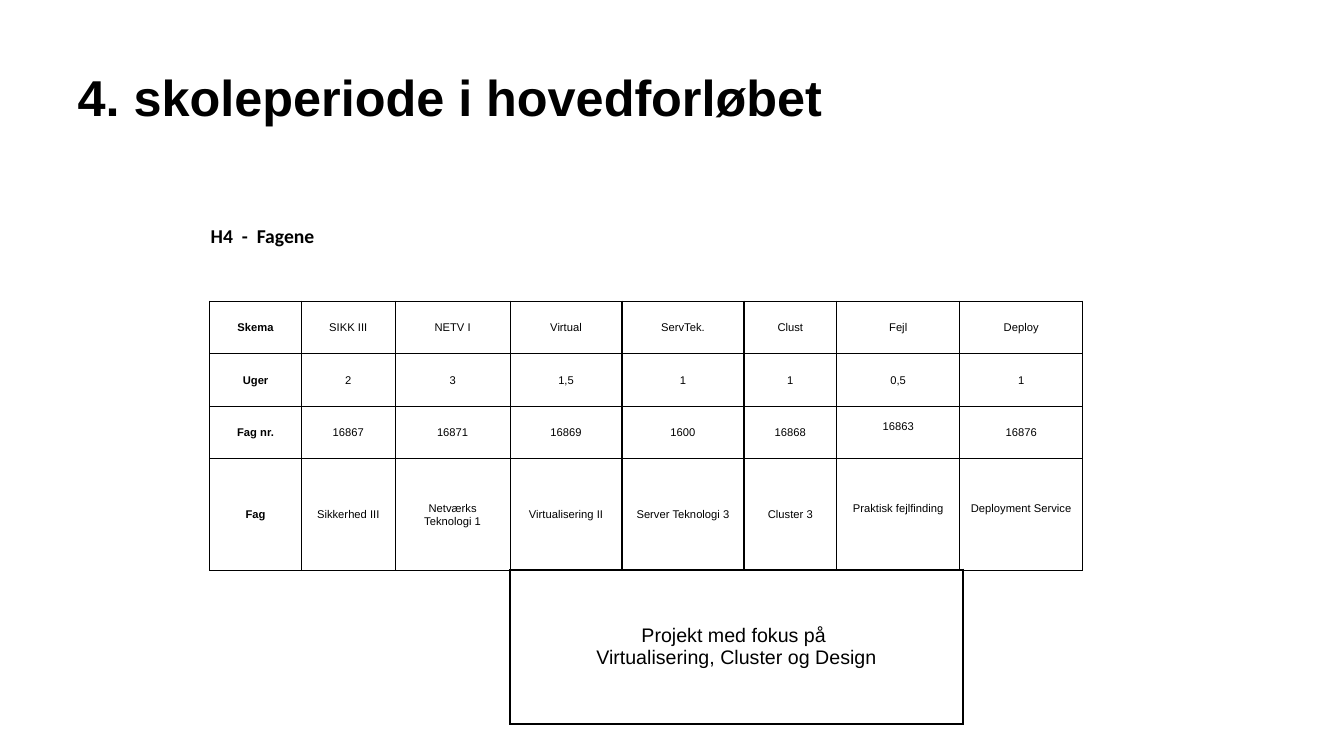
from lxml import etree
from pptx import Presentation
from pptx.dml.color import RGBColor
from pptx.enum.text import MSO_ANCHOR, PP_ALIGN
from pptx.oxml.ns import qn
from pptx.util import Inches, Pt

CENTER = PP_ALIGN.CENTER
TOP, MIDDLE, BOTTOM = MSO_ANCHOR.TOP, MSO_ANCHOR.MIDDLE, MSO_ANCHOR.BOTTOM

TITLE = "4. skoleperiode i hovedforløbet"
HEADING = "H4  -  Fagene"
SUBJECTS = [
    ["Skema", "SIKK III", "NETV I", "Virtual", "ServTek.", "Clust", "Fejl", "Deploy"],
    ["Uger", "2", "3", "1,5", "1", "1", "0,5", "1"],
    ["Fag nr.", "16867", "16871", "16869", "1600", "16868", "16863", "16876"],
    ["Fag", "Sikkerhed III", "Netværks\vTeknologi 1", "Virtualisering II",
     "Server Teknologi 3", "Cluster 3", "Praktisk fejlfinding", "Deployment Service"],
]
RAISED = {"16863", "Praktisk fejlfinding", "Deployment Service"}
PROJECT = "Projekt med fokus på \vVirtualisering, Cluster og Design"

COLORS = {"text": "000000", "line": "000000"}
COL_WIDTHS = [0.91, 0.93, 1.14, 1.11, 1.21, 0.92, 1.22, 1.22]
ROW_HEIGHTS = [0.62, 0.52, 0.52, 0.52, 0.52, 1.11]
FIRST_ROW = 2  # heading row and a spacer row come before the grid
NO_STYLE = "{2D5ABB26-0587-4C30-8999-92F81FD0307C}"


def style_text(tf, size, font="Arial", bold=False, align=None):
    for p in tf.paragraphs:
        p.alignment = align
        for r in p.runs:
            r.font.size, r.font.name, r.font.bold = Pt(size), font, bold
            r.font.color.rgb = RGBColor.from_string(COLORS["text"])


def add_plain_table(slide, left, top, widths, heights):
    frame = slide.shapes.add_table(len(heights), len(widths), Inches(left), Inches(top),
                                   Inches(sum(widths)), Inches(sum(heights)))
    table = frame.table
    table.first_row = table.horz_banding = False
    frame._element.find(".//" + qn("a:tableStyleId")).text = NO_STYLE
    for col, width in zip(table.columns, widths):
        col.width = Inches(width)
    for row, height in zip(table.rows, heights):
        row.height = Inches(height)
    return table


def set_borders(cell, sides, width):
    tcPr = cell._tc.get_or_add_tcPr()
    for side in sides:
        ln = etree.SubElement(tcPr, qn("a:ln" + side), w=str(Pt(width)))
        fill = etree.SubElement(ln, qn("a:solidFill"))
        etree.SubElement(fill, qn("a:srgbClr"), val=COLORS["line"])


def set_margins(cell, bottom=0):
    cell.margin_left = cell.margin_right = cell.margin_top = Inches(0.01)
    cell.margin_bottom = Inches(bottom)


prs = Presentation()
prs.slide_width, prs.slide_height = Inches(13.33), Inches(7.5)
s = prs.slides.add_slide(prs.slide_layouts[5])

# Title
title = s.shapes.title
title.left, title.top = Inches(0.67), Inches(0.67)
title.width, title.height = Inches(11.85), Inches(1.17)
tf = title.text_frame
tf.text = TITLE
tf.vertical_anchor = TOP
tf.paragraphs[0].line_spacing = 0.9
style_text(tf, 36, bold=True, align=PP_ALIGN.LEFT)

# Subject table: heading
table = add_plain_table(s, 2.08, 1.85, COL_WIDTHS, ROW_HEIGHTS)
heading = table.cell(0, 0)
heading.merge(table.cell(0, 1))
heading.text_frame.text = HEADING
heading.vertical_anchor = BOTTOM
set_margins(heading)
style_text(heading.text_frame, 14, font="Calibri", bold=True)
for c in range(len(COL_WIDTHS)):
    set_borders(table.cell(FIRST_ROW - 1, c), "B", 1)

# Subject table: grid
for r, values in enumerate(SUBJECTS, FIRST_ROW):
    for c, value in enumerate(values):
        cell = table.cell(r, c)
        cell.text_frame.text = value
        cell.vertical_anchor = MIDDLE
        set_margins(cell, 0.13 if value in RAISED else 0)
        style_text(cell.text_frame, 8, bold=c == 0, align=CENTER)
        set_borders(cell, "LRTB", 1)

# Project box below the subjects it covers
project = add_plain_table(s, 5.06, 5.65, [4.49], [1.53]).cell(0, 0)
project.text_frame.text = PROJECT
project.vertical_anchor = MIDDLE
style_text(project.text_frame, 14, align=CENTER)
set_borders(project, "LRTB", 1.5)

prs.save("out.pptx")
